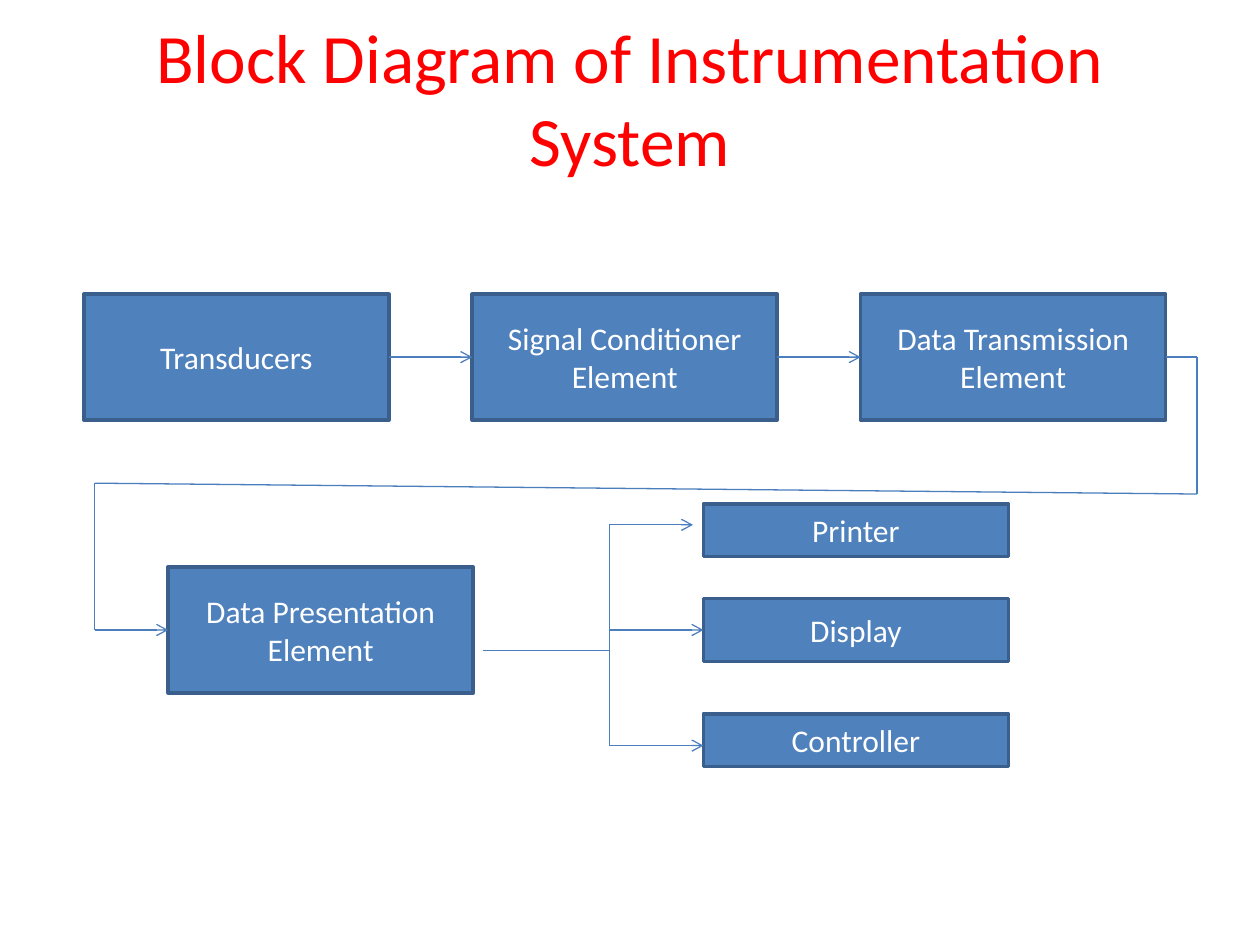
from dataclasses import dataclass
from itertools import pairwise

from lxml.etree import SubElement
from pptx import Presentation
from pptx.dml.color import RGBColor as RGB
from pptx.enum.shapes import MSO_CONNECTOR as CONN, MSO_SHAPE as SHAPE
from pptx.enum.text import MSO_ANCHOR as ANCHOR, PP_ALIGN as ALIGN
from pptx.oxml.ns import qn
from pptx.util import Cm, Pt


@dataclass(frozen=True)
class Theme:
    font: str = "Calibri"
    title: RGB = RGB(0xFF, 0, 0)
    text: RGB = RGB(0xFF, 0xFF, 0xFF)
    fill: RGB = RGB(0x4F, 0x81, 0xBD)
    border: RGB = RGB(0x3A, 0x5F, 0x8C)
    wire: RGB = RGB(0x4B, 0x7E, 0xBC)
    title_size: float = 39.6
    block_size: float = 18
    border_width: float = 2
    wire_width: float = 0.75


T = Theme()
BLOCK_W, BLOCK_H = 6.15, 2.54


def write(sp, text, size, color):
    tf = sp.text_frame
    tf.word_wrap = True
    tf.vertical_anchor = ANCHOR.MIDDLE
    p = tf.paragraphs[0]
    p.text = text
    p.alignment = ALIGN.CENTER
    p.font.name = T.font
    p.font.size = Pt(size)
    p.font.color.rgb = color


def add_title(s, text, x, y, w, h):
    sp = s.shapes.add_textbox(Cm(x), Cm(y), Cm(w), Cm(h))
    write(sp, text, T.title_size, T.title)


def add_block(s, text, x, y, h=BLOCK_H):
    sp = s.shapes.add_shape(SHAPE.RECTANGLE, Cm(x), Cm(y), Cm(BLOCK_W), Cm(h))
    sp.shadow.inherit = False
    sp.fill.solid()
    sp.fill.fore_color.rgb = T.fill
    sp.line.color.rgb = T.border
    sp.line.width = Pt(T.border_width)
    write(sp, text, T.block_size, T.text)


def add_wire(s, start, end, arrow=False):
    cx = s.shapes.add_connector(CONN.STRAIGHT, *map(Cm, start + end))
    cx.line.color.rgb = T.wire
    cx.line.width = Pt(T.wire_width)
    if arrow:
        SubElement(cx.line._get_or_add_ln(), qn("a:tailEnd"), type="arrow")
    SubElement(cx._element.spPr, qn("a:effectLst"))


def add_route(s, points):
    legs = list(pairwise(points))
    for i, (start, end) in enumerate(legs, 1):
        add_wire(s, start, end, arrow=i == len(legs))


def add_chain(s, labels, x, y, pitch):
    mid = y + BLOCK_H / 2
    for i, label in enumerate(labels):
        left = x + i * pitch
        add_block(s, label, left, y)
        if i:
            add_wire(s, (left - pitch + BLOCK_W, mid), (left, mid), arrow=True)
    return left + BLOCK_W, mid


def add_presentation(s, label, x, y, source):
    right, mid = source[0] + 0.63, y + BLOCK_H / 2
    lane = x - 1.48
    add_block(s, label, x, y)
    add_route(s, [source, (right, source[1]), (right, y - 1.47),
                  (lane, y - 1.69), (lane, mid), (x, mid)])


def add_outputs(s, outputs, x, y):
    bus, block_x = x + 2.54, x + 4.44
    for label, top, height, tap, tip in outputs:
        add_block(s, label, block_x, y + top, height)
        add_wire(s, (bus, y + tap), (block_x - tip, y + tap), arrow=True)
    taps = [y + output[3] for output in outputs]
    add_wire(s, (bus, min(taps)), (bus, max(taps)))
    add_wire(s, (x, y + 2.96), (bus, y + 2.96))


prs = Presentation()
prs.slide_width, prs.slide_height = Cm(25.4), Cm(19.05)
s = prs.slides.add_slide(prs.slide_layouts[6])

add_title(s, "Block Diagram of Instrumentation System", 1.27, 0.76, 22.86, 2.41)
chain_end = add_chain(
    s,
    ["Transducers", "Signal Conditioner Element", "Data Transmission Element"],
    1.69, 5.93, 7.83,
)
add_presentation(s, "Data Presentation Element", 3.39, 11.43, chain_end)
add_outputs(
    s,
    [("Printer", 0, 1.06, 0.42, 0.21),
     ("Display", 1.91, 1.27, 2.54, 0),
     ("Controller", 4.23, 1.06, 4.87, 0)],
    9.74, 10.16,
)

prs.save("out.pptx")
